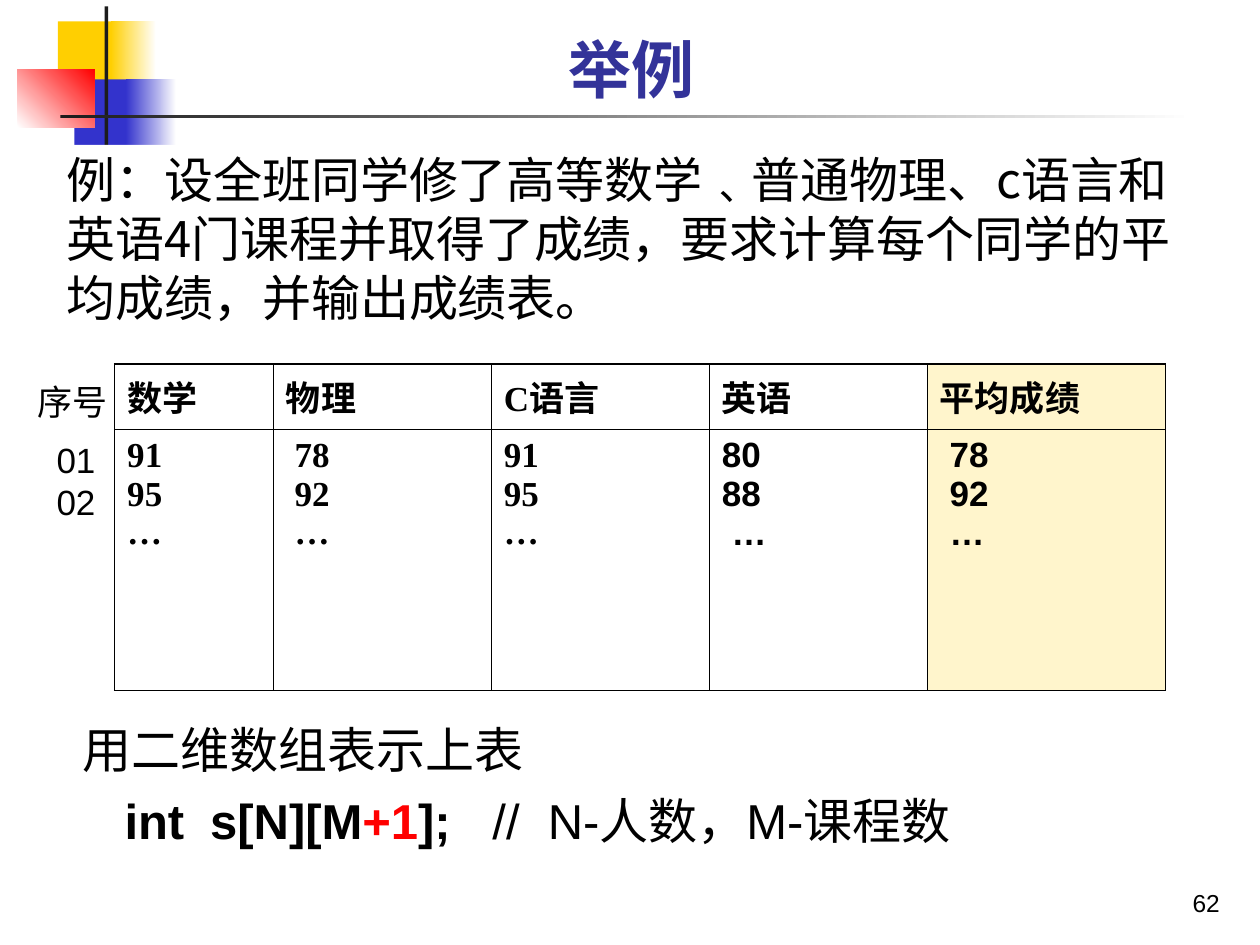
from lxml import etree
from pptx import Presentation
from pptx import util as u
from pptx.dml.color import RGBColor
from pptx.enum import shapes, text
from pptx.oxml.ns import qn

COLORS = {
    "black": "000000", "white": "FFFFFF", "yellow": "FFCF01", "blue": "3333CC",
    "red": "FF0000", "ink": "1C1C1C", "title": "333399", "cream": "FFF5CC",
}
CJK = "Noto Sans CJK SC"
SERIF = "Times New Roman"

DECOR = [
    ((0.46, 0.17, 0.48, 0.52), ["yellow"], 0),
    ((0.88, 0.17, 0.36, 0.52), ["yellow", "white"], 0),
    ((0.59, 0.63, 0.46, 0.52), ["blue"], 0),
    ((1, 0.63, 0.4, 0.52), ["blue", "white"], 0),
    ((0.14, 0.55, 0.61, 0.46), ["white", "red"], 45),
    ((0.83, 0.05, 0.03, 1.15), ["ink"], 0),
    ((0.48, 0.91, 9, 0.03), ["ink", "white"], 0),
]

PROBLEM = "例：设全班同学修了高等数学﹑普通物理、c语言和英语4门课程并取得了成绩，要求计算每个同学的平均成绩，并输出成绩表。"
CODE_TABS = [0.33, 1.01, 3.25, 3.69]
CODE = [
    ("\tint\ts[N][M", {"bold": True}),
    ("+1", {"bold": True, "color": "red"}),
    ("];", {"bold": True}),
    ("\t//\tN-人数，M-课程数", {}),
]

COURSES = [
    ("数学", "Cabin", SERIF, 1.26, ["91", "95", "…"]),
    ("物理", SERIF, SERIF, 1.73, [" 78", " 92", " …"]),
    ("C语言", SERIF, SERIF, 1.73, ["91", "95", "…"]),
    ("英语", "Arial", "Arial", 1.73, ["80", "88", " …"]),
    ("平均成绩", "Arial", "Arial", 1.89, [" 78", " 92", " …"]),
]
ROW_HEIGHTS = [0.52, 2.07]


def rgb(name):
    return RGBColor.from_string(COLORS[name])


def place(at):
    return [u.Inches(length) for length in at]


def add_span(para, words, size, font="Arial", color="black", bold=False):
    span = para.add_run()
    span.text = words
    span.font.size = u.Pt(size)
    span.font.name = font
    span.font.bold = bold
    span.font.color.rgb = rgb(color)
    east_asian = etree.Element(qn("a:ea"), typeface=CJK)
    span.font._element.find(qn("a:latin")).addnext(east_asian)


def fill_frame(frame, paras, size, font="Arial", align=text.PP_ALIGN.LEFT, spacing=None):
    for index, spans in enumerate(paras):
        para = frame.paragraphs[0] if index == 0 else frame.add_paragraph()
        para.alignment = align
        if spacing:
            para.line_spacing = spacing
        for words, style in spans:
            add_span(para, words, size, **{"font": font, **style})


def add_box(page, at, paras, size, anchor=text.MSO_ANCHOR.TOP, **style):
    box = page.shapes.add_textbox(*place(at))
    box.text_frame.word_wrap = True
    box.text_frame.vertical_anchor = anchor
    fill_frame(box.text_frame, paras, size, **style)
    return box


def add_decor(page, at, colors, angle):
    block = page.shapes.add_shape(shapes.MSO_SHAPE.RECTANGLE, *place(at))
    block.shadow.inherit = False
    block.line.fill.background()
    if len(colors) == 1:
        block.fill.solid()
        block.fill.fore_color.rgb = rgb(colors[0])
        return
    block.fill.gradient()
    block.fill.gradient_angle = angle
    for stop, color in zip(block.fill.gradient_stops, colors):
        stop.color.rgb = rgb(color)


def set_borders(cell):
    props = cell._tc.get_or_add_tcPr()
    for index, side in enumerate(("lnL", "lnR", "lnT", "lnB")):
        line = etree.Element(qn(f"a:{side}"), w=str(u.Pt(1)))
        solid = etree.SubElement(line, qn("a:solidFill"))
        etree.SubElement(solid, qn("a:srgbClr"), val=COLORS["black"])
        props.insert(index, line)


def add_scores(page):
    width = sum(course[3] for course in COURSES)
    at = (0.91, 2.89, width, sum(ROW_HEIGHTS))
    table = page.shapes.add_table(2, len(COURSES), *place(at)).table
    for row, height in zip(table.rows, ROW_HEIGHTS):
        row.height = u.Inches(height)
    for col, (name, head_font, body_font, width, scores) in enumerate(COURSES):
        table.columns[col].width = u.Inches(width)
        contents = [([name], head_font), (scores, body_font)]
        for row, (lines, font) in enumerate(contents):
            cell = table.cell(row, col)
            paras = [[(line, {"bold": True})] for line in lines]
            fill_frame(cell.text_frame, paras, 20, font)
            cell.fill.solid()
            cell.fill.fore_color.rgb = rgb("cream" if name == "平均成绩" else "white")
            set_borders(cell)


def add_declaration(page):
    paras = [[("用二维数组表示上表", {})], CODE]
    box = add_box(page, (0.56, 5.57, 8.69, 1.23), paras, 28, spacing=1.2)
    props = box.text_frame.paragraphs[1]._p.get_or_add_pPr()
    tabs = etree.SubElement(props, qn("a:tabLst"))
    for stop in CODE_TABS:
        etree.SubElement(tabs, qn("a:tab"), pos=str(u.Inches(stop)), algn="l")


def main():
    deck = Presentation()
    deck.slide_width, deck.slide_height = u.Inches(10), u.Inches(7.5)
    page = deck.slides.add_slide(deck.slide_layouts[6])
    for at, colors, angle in DECOR:
        add_decor(page, at, colors, angle)
    bottom = text.MSO_ANCHOR.BOTTOM
    problem = add_box(page, (0.43, 1.15, 9.13, 1.49), [[(PROBLEM, {})]], 28, bottom, font=CJK)
    problem.fill.solid()
    problem.fill.fore_color.rgb = rgb("white")
    add_scores(page)
    add_box(page, (0.35, 3.43, 0.58, 0.77), [[("01", {})], [("02", {})]], 20)
    add_box(page, (0.2, 2.97, 1.08, 0.43), [[("序号", {})]], 20)
    add_declaration(page)
    add_box(page, (7.7, 6.83, 2.08, 0.5), [[("62", {})]], 14, bottom,
            align=text.PP_ALIGN.RIGHT)
    heading = [[("举例", {"color": "title", "bold": True})]]
    add_box(page, (0.75, 0.28, 8.52, 0.61), heading, 36, bottom,
            font=CJK, align=text.PP_ALIGN.CENTER)
    deck.save("out.pptx")


if __name__ == "__main__":
    main()
